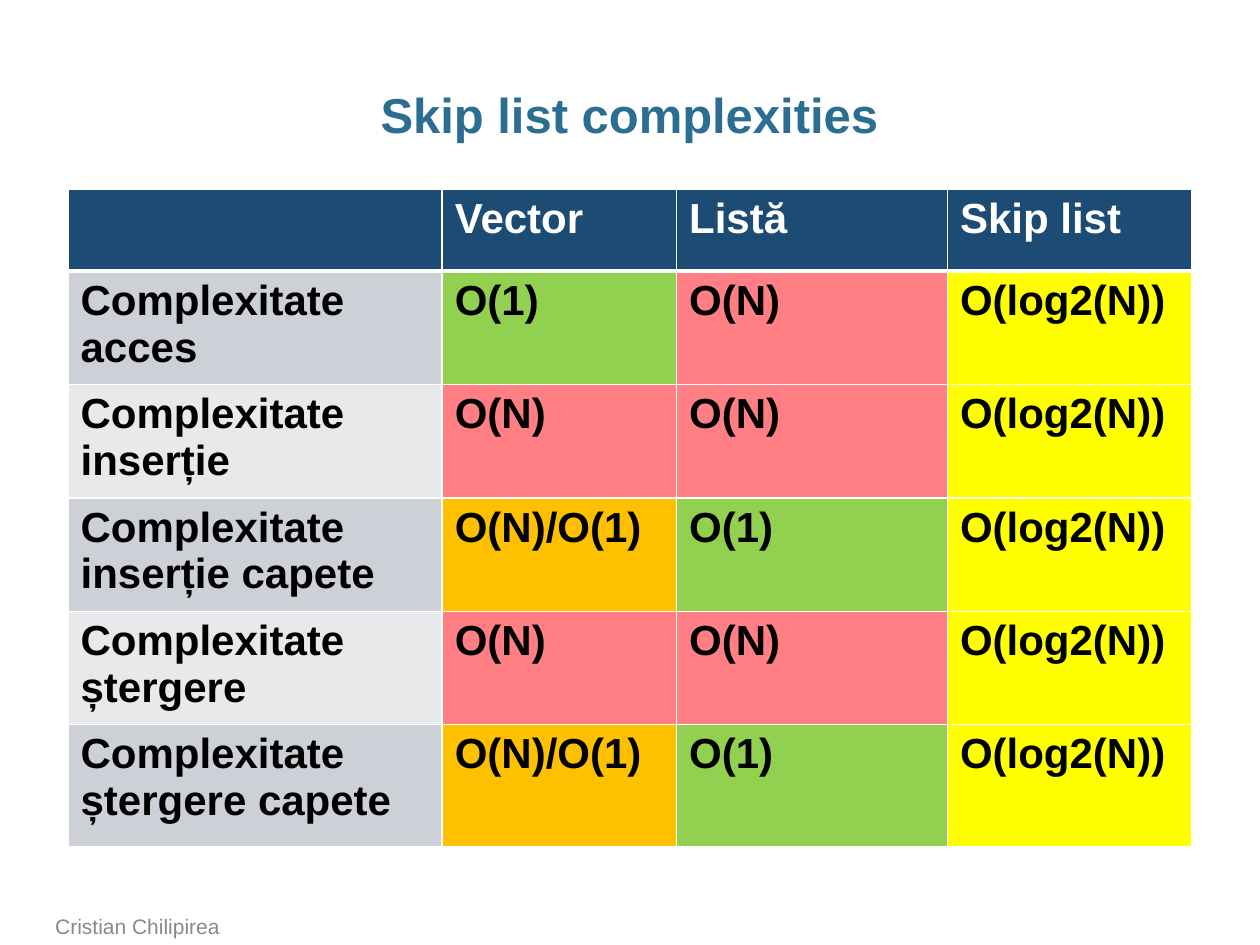
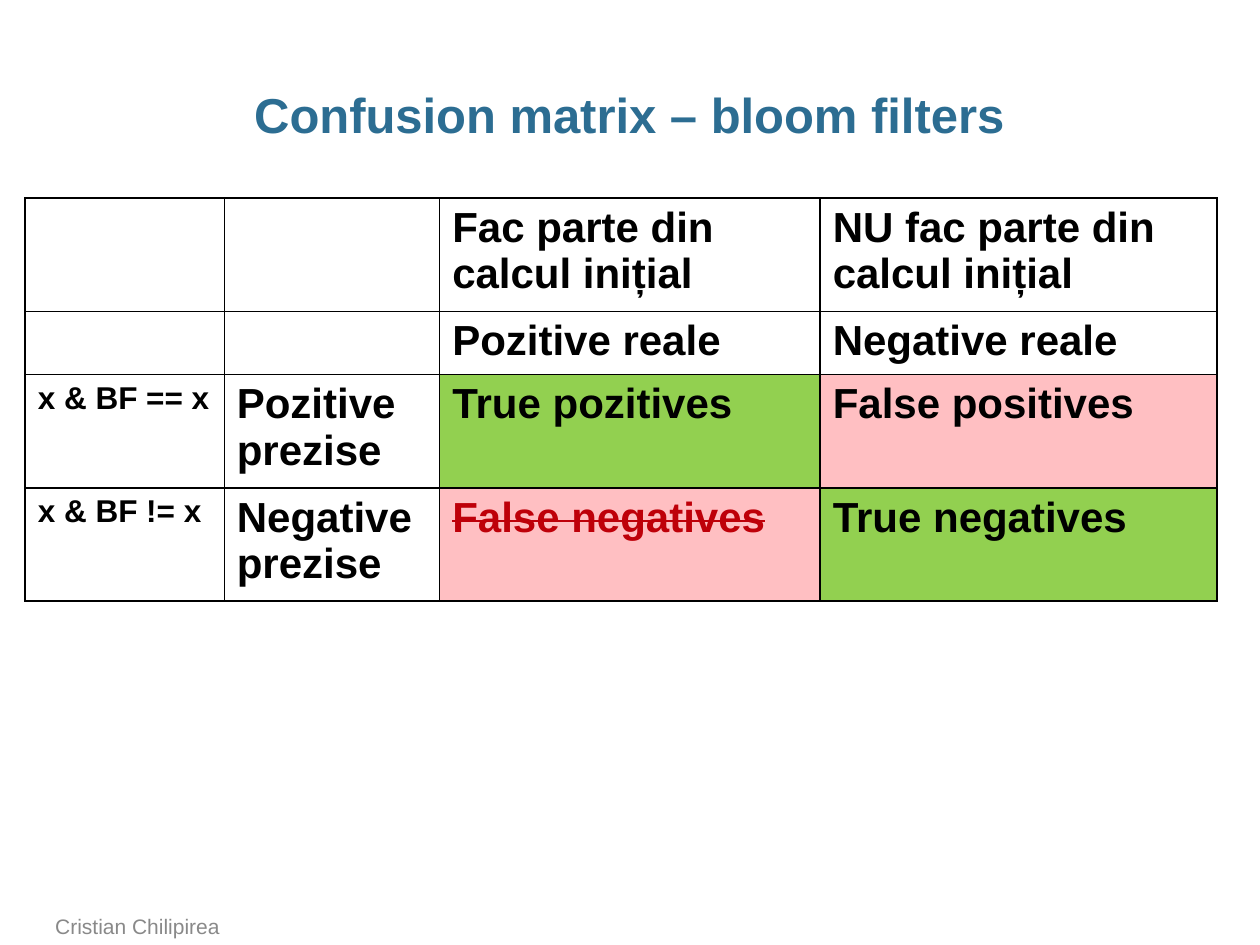
from dataclasses import dataclass

from lxml import etree
from pptx import Presentation
from pptx import util as u
from pptx.dml.color import RGBColor
from pptx.enum import text
from pptx.oxml.ns import qn


@dataclass(frozen=True)
class Theme:
    """Colours, font and type sizes shared by the slides."""
    font: str = "Arial"
    title_size: int = 28
    cell_size: int = 24
    test_size: int = 18
    footer_size: int = 12
    title: str = "2C6D92"
    footer: str = "898989"
    header: str = "1C4C74"
    white: str = "FFFFFF"
    black: str = "000000"
    bands: tuple = ("CDD0D6", "E8E9EB")
    good: str = "92D050"
    mixed: str = "FFC000"
    bad: str = "FF7F85"
    medium: str = "FFFF00"
    error: str = "FFBFC2"
    struck: str = "BE0009"


@dataclass(frozen=True)
class Box:
    """A region measured in units of the slide grid."""
    left: float
    top: float
    width: float
    height: float

    def place(self):
        """Return the region as lengths on the slide."""
        return [grid(side) for side in (self.left, self.top, self.width, self.height)]


THEME = Theme()
SLIDE_WIDTH, SLIDE_HEIGHT = u.Inches(10), u.Inches(7.5)
GRID_COLUMNS = 100
TITLE_BOX = Box(3.4, 6.8, 93.1, 5)
FOOTER_BOX = Box(3.4, 72.2, 73.7, 2.8)
COST_FILLS = {"O(1)": THEME.good, "O(N)": THEME.bad,
              "O(N)/O(1)": THEME.mixed, "O(log2(N))": THEME.medium}
COMPLEXITIES = [
    ("", "Vector", "Listă", "Skip list"),
    ("Complexitate acces", "O(1)", "O(N)", "O(log2(N))"),
    ("Complexitate inserție", "O(N)", "O(N)", "O(log2(N))"),
    ("Complexitate inserție capete", "O(N)/O(1)", "O(1)", "O(log2(N))"),
    ("Complexitate ștergere", "O(N)", "O(N)", "O(log2(N))"),
    ("Complexitate ștergere capete", "O(N)/O(1)", "O(1)", "O(log2(N))"),
]
CONFUSION = [
    ("", "", "Fac parte din calcul inițial", "NU fac parte din calcul inițial"),
    ("", "", "Pozitive reale", "Negative reale"),
    ("x & BF == x", "Pozitive prezise", "True pozitives", "False positives"),
    ("x & BF != x", "Negative prezise", "False negatives", "True negatives"),
]


def grid(units):
    """Convert grid units to a length."""
    return round(SLIDE_WIDTH / GRID_COLUMNS * units)


def style(paragraph, size, color, bold=False):
    """Set the font of a whole paragraph."""
    font = paragraph.font
    font.name, font.size, font.bold = THEME.font, u.Pt(size), bold
    font.color.rgb = RGBColor.from_string(color)


def add_title(slide, wording, box):
    """Place the slide title in its placeholder."""
    title = slide.shapes.title
    title.left, title.top, title.width, title.height = box.place()
    frame = title.text_frame
    frame.auto_size = text.MSO_AUTO_SIZE.NONE
    frame.vertical_anchor = text.MSO_ANCHOR.MIDDLE
    frame.margin_left = frame.margin_right = 0
    frame.text = wording
    heading = frame.paragraphs[0]
    heading.alignment = text.PP_ALIGN.CENTER
    heading.line_spacing = 0.95
    style(heading, THEME.title_size, THEME.title, bold=True)


def add_footer(slide, box):
    """Write the author at the foot of the slide."""
    frame = slide.shapes.add_textbox(*box.place()).text_frame
    frame.word_wrap = True
    frame.vertical_anchor = text.MSO_ANCHOR.BOTTOM
    frame.text = "Cristian Chilipirea"
    style(frame.paragraphs[0], THEME.footer_size, THEME.footer)


def add_borders(cell, color, top=1, bottom=1):
    """Draw the four borders of a cell, with widths in points."""
    properties = cell._tc.get_or_add_tcPr()
    for side, width in (("L", 1), ("R", 1), ("T", top), ("B", bottom)):
        border = etree.SubElement(properties, qn(f"a:ln{side}"), w=str(u.Pt(width)))
        fill = etree.SubElement(border, qn("a:solidFill"))
        etree.SubElement(fill, qn("a:srgbClr"), val=color)


def fill_cell(cell, wording, fill=None, size=THEME.cell_size, color=THEME.black):
    """Give a cell its background and bold wording."""
    if fill:
        cell.fill.solid()
        cell.fill.fore_color.rgb = RGBColor.from_string(fill)
    else:
        cell.fill.background()
    cell.text = wording
    style(cell.text_frame.paragraphs[0], size, color, bold=True)


def add_grid_table(slide, entries, box, columns, rows):
    """Add an unbanded table with the given column and row sizes."""
    table = slide.shapes.add_table(len(entries), len(columns), *box.place()).table
    table.first_row = table.horz_banding = False
    for column, width in zip(table.columns, columns):
        column.width = grid(width)
    for row, height in zip(table.rows, rows):
        row.height = grid(height)
    return table


def complexity_table(slide, box):
    """Compare the costs of three structures, coloured by cost."""
    columns = (29.7, 18.6, 21.5, 19.4)
    rows = (6.5, 8.4, 8.4, 8.4, 8.4, 9.7)
    table = add_grid_table(slide, COMPLEXITIES, box, columns, rows)
    for r, entries in enumerate(COMPLEXITIES):
        for c, wording in enumerate(entries):
            cell = table.cell(r, c)
            add_borders(cell, THEME.white, top=3 if r == 1 else 1, bottom=3 if r == 0 else 1)
            if r == 0:
                fill_cell(cell, wording, THEME.header, color=THEME.white)
            else:
                band = THEME.bands[(r - 1) % 2]
                fill_cell(cell, wording, COST_FILLS.get(wording, band))


def confusion_table(slide, box):
    """Set real classes against predicted ones, striking the impossible case."""
    columns = (15.8, 17.1, 30.2, 31.5)
    rows = (8.4, 4.7, 8.5, 8.4)
    table = add_grid_table(slide, CONFUSION, box, columns, rows)
    for r, entries in enumerate(CONFUSION):
        for c, wording in enumerate(entries):
            cell = table.cell(r, c)
            add_borders(cell, THEME.black)
            outcome = wording.split(" ")[0]
            fill = {"True": THEME.good, "False": THEME.error}.get(outcome)
            size = THEME.test_size if c == 0 else THEME.cell_size
            impossible = wording == "False negatives"
            fill_cell(cell, wording, fill, size, THEME.struck if impossible else THEME.black)
            if impossible:
                run = cell.text_frame.paragraphs[0].runs[0]
                run._r.get_or_add_rPr().set("strike", "sngStrike")


def add_table_slide(deck, title, place_table, box):
    """Add a slide with a title, a table and the footer."""
    slide = deck.slides.add_slide(deck.slide_layouts[5])
    add_title(slide, title, TITLE_BOX)
    add_footer(slide, FOOTER_BOX)
    place_table(slide, box)


def main():
    """Build and save the deck."""
    deck = Presentation()
    deck.slide_width, deck.slide_height = SLIDE_WIDTH, SLIDE_HEIGHT
    add_table_slide(deck, "Skip list complexities", complexity_table,
                    Box(5.4, 15, 89.2, 49.8))
    add_table_slide(deck, "Confusion matrix – bloom filters", confusion_table,
                    Box(2, 15.7, 94.6, 30))
    deck.save("out.pptx")


if __name__ == "__main__":
    main()
